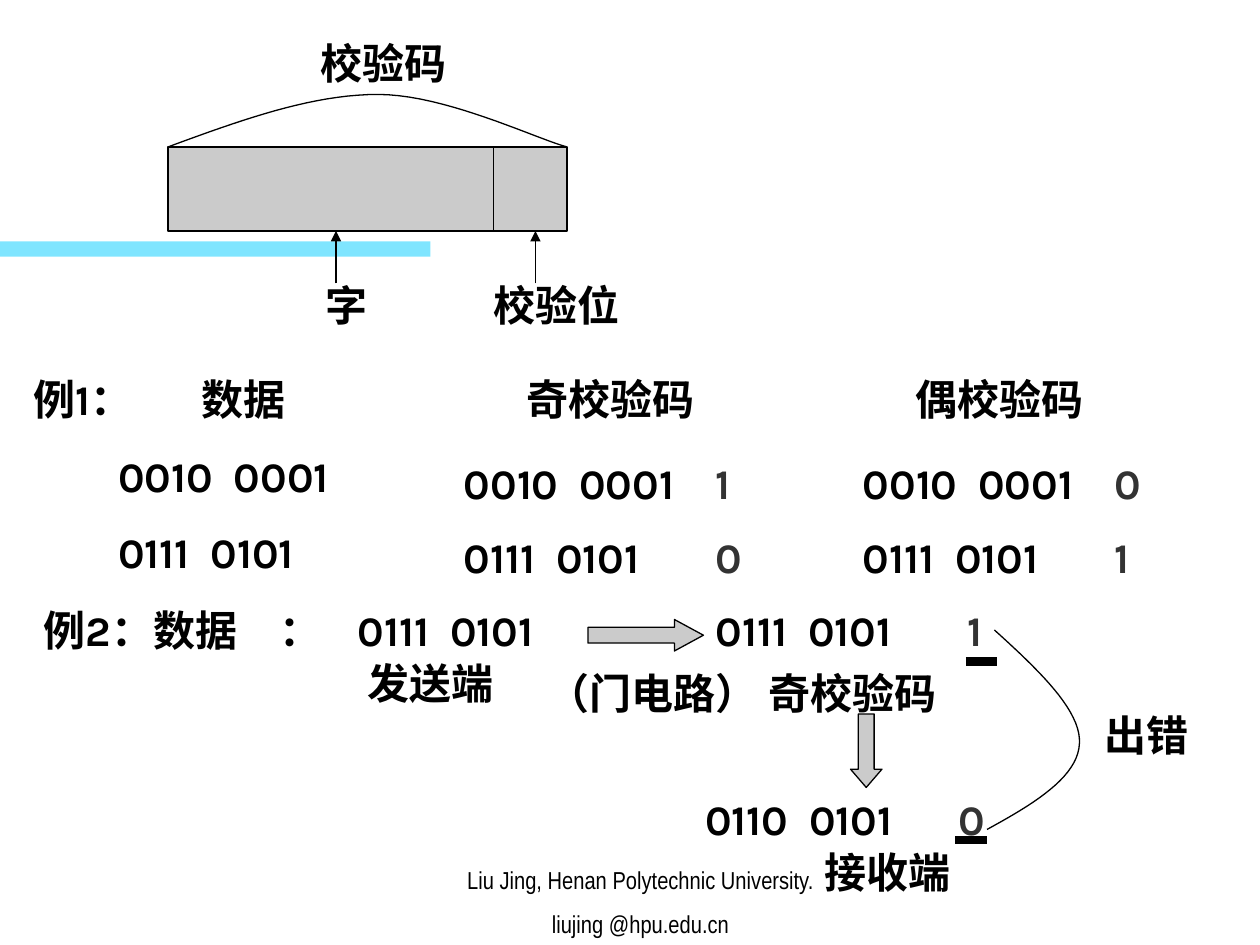
from dataclasses import dataclass

from lxml import etree
from pptx import Presentation
from pptx.dml.color import RGBColor
from pptx.enum.shapes import MSO_CONNECTOR, MSO_SHAPE
from pptx.enum.text import MSO_ANCHOR, MSO_AUTO_SIZE, PP_ALIGN
from pptx.oxml.ns import qn
from pptx.util import Cm, Pt

RECTANGLE = MSO_SHAPE.RECTANGLE
RIGHT_ARROW = MSO_SHAPE.RIGHT_ARROW
DOWN_ARROW = MSO_SHAPE.DOWN_ARROW
STRAIGHT = MSO_CONNECTOR.STRAIGHT
LEFT, CENTER = PP_ALIGN.LEFT, PP_ALIGN.CENTER
TOP, BOTTOM = MSO_ANCHOR.TOP, MSO_ANCHOR.BOTTOM

GRID_COLUMNS, GRID_ROWS = 120, 90
GRID_CM = 25.4 / GRID_COLUMNS
CURVE_STEPS = 20


@dataclass(frozen=True)
class Theme:
    ink: RGBColor = RGBColor(0x00, 0x00, 0x00)
    check_bit: RGBColor = RGBColor(0x33, 0x33, 0x33)
    panel: RGBColor = RGBColor(0xCB, 0xCB, 0xCB)
    band: RGBColor = RGBColor(0x00, 0xCC, 0xFF)
    body_font: str = "Karla"
    footer_font: str = "Arial Narrow"
    body_size: float = 24
    footer_size: float = 14
    body_gap: float = 15
    footer_gap: float = 8.8
    thin_line: float = 0.75
    thick_line: float = 5


THEME = Theme()


def grid(units):
    """Length of a number of grid units; the slide is 120 units wide."""
    return Cm(units * GRID_CM)


def code_stops(code, start=0):
    """Tab stop for the second group of bits: a zero is wider than a one."""
    first_group = code.split("\t")[0]
    return [start + 7.7 + 1.1 * first_group.count("0")]


def add_text(slide, text, left, top, width, height=6, *, stops=(), align=LEFT,
             anchor=TOP, color=THEME.ink, font=THEME.body_font,
             size=THEME.body_size, bold=True, gap=THEME.body_gap):
    """Add a text box; stops holds one list of tab positions per line."""
    box = slide.shapes.add_textbox(*map(grid, (left, top, width, height)))
    frame = box.text_frame
    frame.word_wrap = True
    frame.vertical_anchor = anchor
    if anchor == TOP:
        frame.auto_size = MSO_AUTO_SIZE.SHAPE_TO_FIT_TEXT
    for index, line in enumerate(text.split("\n")):
        paragraph = frame.add_paragraph() if index else frame.paragraphs[0]
        paragraph.alignment = align
        if index:
            paragraph.space_before = Pt(gap)
        if index < len(stops):
            add_tab_stops(paragraph, stops[index])
        run = paragraph.add_run()
        run.text = line
        run.font.name = font
        run.font.size = Pt(size)
        run.font.bold = bold
        run.font.color.rgb = color


def add_tab_stops(paragraph, positions):
    properties = paragraph._p.get_or_add_pPr()
    tab_list = etree.SubElement(properties, qn("a:tabLst"))
    for position in positions:
        etree.SubElement(tab_list, qn("a:tab"), pos=str(grid(position)), algn="l")


def add_code(slide, code, left, top, width=27):
    add_text(slide, code, left, top, width, stops=[code_stops(code)])


def add_check_bit(slide, bit, left, top, width=8):
    add_text(slide, bit, left, top, width, color=THEME.check_bit)


def style_line(line, width=THEME.thin_line):
    line.color.rgb = THEME.ink
    line.width = Pt(width)


def add_panel(slide, kind, left, top, width, height, adjustments=()):
    shape = slide.shapes.add_shape(kind, *map(grid, (left, top, width, height)))
    shape.shadow.inherit = False
    shape.fill.solid()
    shape.fill.fore_color.rgb = THEME.panel
    style_line(shape.line)
    for index, value in enumerate(adjustments):
        shape.adjustments[index] = value
    return shape


def add_band(slide):
    band = add_panel(slide, RECTANGLE, 0, 23, 41, 1.44)
    band.fill.fore_color.rgb = THEME.band
    band.line.fill.background()
    color = band._element.spPr.find(".//" + qn("a:srgbClr"))
    etree.SubElement(color, qn("a:alpha"), val="50000")


def add_line(slide, start, end, *, width=THEME.thin_line, arrow=False):
    connector = slide.shapes.add_connector(STRAIGHT, *map(grid, start + end))
    style_line(connector.line, width)
    if arrow:
        etree.SubElement(connector.line._get_or_add_ln(), qn("a:tailEnd"), type="triangle")
    etree.SubElement(connector._element.spPr, qn("a:effectLst"))


def bezier_point(controls, t):
    weights = ((1 - t) ** 3, 3 * t * (1 - t) ** 2, 3 * t ** 2 * (1 - t), t ** 3)
    return tuple(
        grid(sum(weight * value for weight, value in zip(weights, axis)))
        for axis in zip(*controls)
    )


def add_curve(slide, points):
    """Draw joined cubic curves; each adds two controls and an end point."""
    vertices = [
        bezier_point(points[first:first + 4], step / CURVE_STEPS)
        for first in range(0, len(points) - 1, 3)
        for step in range(1, CURVE_STEPS + 1)
    ]
    start_x, start_y = map(grid, points[0])
    builder = slide.shapes.build_freeform(start_x, start_y)
    builder.add_line_segments(vertices, close=False)
    curve = builder.convert_to_shape()
    curve.shadow.inherit = False
    curve.fill.background()
    style_line(curve.line)


def add_footer(slide):
    add_text(slide, "Liu Jing, Henan Polytechnic University.\nliujing @hpu.edu.cn",
             36, 81, 50, 9, align=CENTER, anchor=BOTTOM, bold=False,
             font=THEME.footer_font, size=THEME.footer_size, gap=THEME.footer_gap)


def add_code_structure(slide):
    add_panel(slide, RECTANGLE, 16, 14, 38, 8)
    add_line(slide, (47, 14), (47, 22))
    for label, left, width, arrow_x in (("字", 26, 14, 32), ("校验位", 44, 18, 51)):
        add_text(slide, label, left, 26, width, align=CENTER)
        add_line(slide, (arrow_x, 27), (arrow_x, 22), arrow=True)
    add_curve(slide, [(16, 14), (22.8, 11.5), (29.6, 9), (36, 9),
                      (42.4, 9), (51, 13.2), (54, 14)])
    add_text(slide, "校验码", 23, 3, 27, align=CENTER)


def add_parity_example(slide):
    codes = ("0010\t0001", "0111\t0101")
    indent = 8.1
    lines = ["例1：\t数据"] + ["\t" + code for code in codes]
    stops = [[16]] + [[indent] + code_stops(code, indent) for code in codes]
    add_text(slide, "\n".join(lines), 2, 35, 36, 20.6, stops=stops)

    columns = (("奇校验码", 49, 20, 43, "10"), ("偶校验码", 86, 21, 81, "01"))
    for heading, heading_left, heading_width, left, bits in columns:
        add_text(slide, heading, heading_left, 35, heading_width)
        for row, (code, bit) in enumerate(zip(codes, bits)):
            top = 43 + 7 * row
            add_code(slide, code, left, top)
            add_check_bit(slide, bit, left + 24, top)


def add_transfer_example(slide):
    sent, received = "0111\t0101", "0110\t0101"
    code_start = 29.9
    add_text(slide, "例2：数据\t：\t" + sent, 3, 57, 54,
             stops=[[22.4, code_start] + code_stops(sent, code_start)])
    add_text(slide, "发送端", 30, 62, 22, align=CENTER)
    add_panel(slide, RIGHT_ARROW, 56, 59, 11, 3, (0.5, 0.92))
    add_text(slide, "（门电路）", 51, 63, 23.2)
    add_text(slide, "奇校验码", 72, 63, 20, 10.8)
    add_code(slide, sent, 67, 57, 28)
    add_check_bit(slide, "1", 91, 57, 7)

    add_panel(slide, DOWN_ARROW, 81, 68, 3, 7, (0.5, 0.58))
    add_code(slide, received, 66, 75, 28)
    add_check_bit(slide, "0", 90.1, 75, 4.7)
    add_text(slide, "接收端", 70, 80, 29, align=CENTER)

    for left, y in ((92, 63), (91, 80)):
        add_line(slide, (left, y), (left + 3, y), width=THEME.thick_line)
    add_curve(slide, [(94.7, 60), (98.9, 63.8), (103, 67.7), (102.8, 70.8),
                      (102.7, 74), (98.4, 76.6), (94, 79)])
    add_text(slide, "出错", 104, 67, 13)


def main():
    presentation = Presentation()
    presentation.slide_width = grid(GRID_COLUMNS)
    presentation.slide_height = grid(GRID_ROWS)
    slide = presentation.slides.add_slide(presentation.slide_layouts[6])
    add_band(slide)
    add_footer(slide)
    add_code_structure(slide)
    add_parity_example(slide)
    add_transfer_example(slide)
    presentation.save("out.pptx")


if __name__ == "__main__":
    main()
